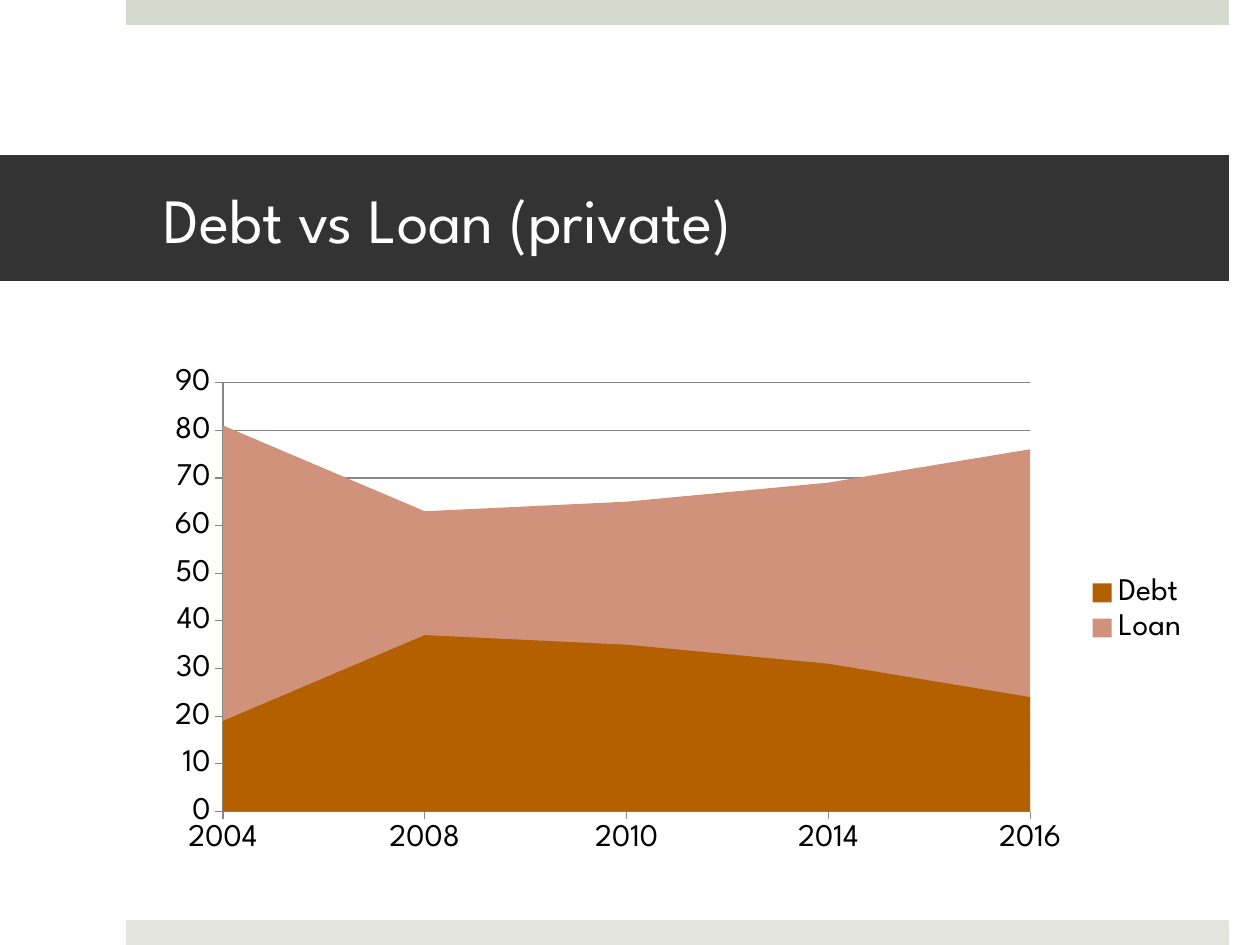
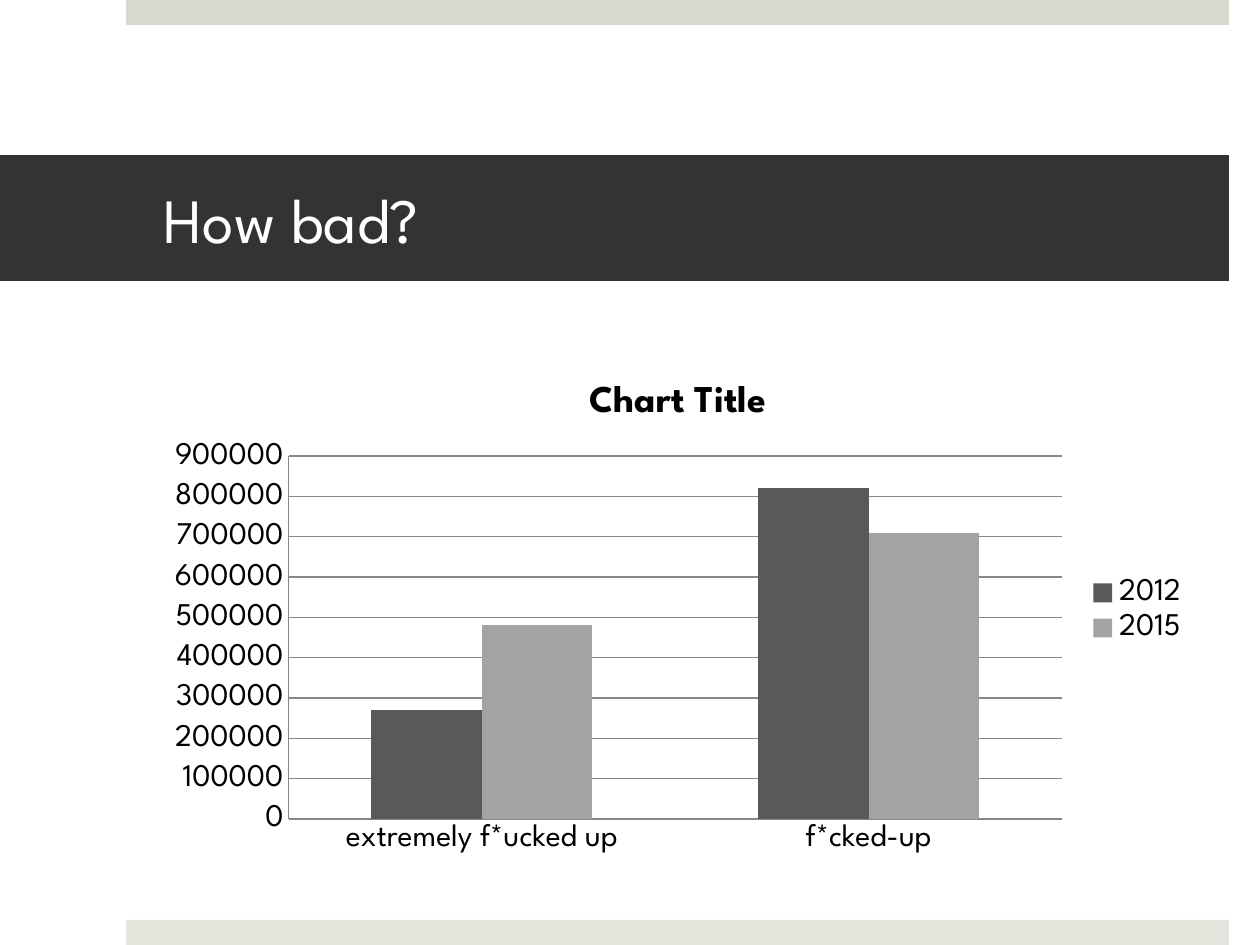
"""Builds two chart slides, on debt and loans, that share a dark title band."""
from pptx import Presentation
from pptx.chart.data import CategoryChartData
from pptx.dml.color import RGBColor
from pptx.enum.chart import XL_CHART_TYPE, XL_LEGEND_POSITION, XL_TICK_MARK
from pptx.enum.shapes import MSO_SHAPE
from pptx.enum.text import MSO_ANCHOR, MSO_AUTO_SIZE, PP_ALIGN
from pptx.util import Emu, Pt

FONT = "League Spartan"
WHITE, BLACK, TITLE_BAND, AXIS_GREY = "FFFFFF", "000000", "333333", "878787"
EDGE_BANDS = [(0, "D6D9CD"), (920, "E4E6DE")]


def px(length):
    return Emu(round(length * 914400 / 126))


def paint(target, color):
    target.solid()
    target.fore_color.rgb = RGBColor.from_string(color)


SLIDES = [
    {
        "title": "Debt vs Loan (private)",
        "type": XL_CHART_TYPE.AREA,
        "chart_title": None,
        "tick": XL_TICK_MARK.OUTSIDE,
        "categories": ["2004", "2008", "2010", "2014", "2016"],
        "series": [
            ("Debt", [19, 37, 35, 31, 24], "B45F00"),
            ("Loan", [81, 63, 65, 69, 76], "D0927A"),
        ],
    },
    {
        "title": "How bad?",
        "type": XL_CHART_TYPE.COLUMN_CLUSTERED,
        "chart_title": "Chart Title",
        "tick": XL_TICK_MARK.NONE,
        "categories": ["extremely f*ucked up", "f*cked-up"],
        "series": [
            ("2012", [270000, 820000], "595959"),
            ("2015", [480000, 710000], "A3A3A3"),
        ],
    },
]

presentation = Presentation()
presentation.slide_width, presentation.slide_height = px(1260), px(945)

for content in SLIDES:
    slide = presentation.slides.add_slide(presentation.slide_layouts[5])
    paint(slide.background.fill, WHITE)

    for top, color in EDGE_BANDS:
        band = slide.shapes.add_shape(MSO_SHAPE.RECTANGLE, px(126), px(top), px(1103), px(25))
        band.shadow.inherit = False
        paint(band.fill, color)
        band.line.fill.background()

    title = slide.shapes.title
    title.left, title.top, title.width, title.height = px(0), px(155), px(1229), px(126)
    paint(title.fill, TITLE_BAND)
    frame = title.text_frame
    frame.text = content["title"]
    frame.auto_size = MSO_AUTO_SIZE.NONE
    frame.word_wrap = True
    frame.vertical_anchor = MSO_ANCHOR.MIDDLE
    frame.margin_left, frame.margin_right = px(164), px(38)
    frame.margin_top = frame.margin_bottom = px(6)
    paragraph = frame.paragraphs[0]
    paragraph.alignment = PP_ALIGN.LEFT
    paragraph.font.name = FONT
    paragraph.font.size = Pt(36)
    paint(paragraph.font.fill, WHITE)

    chart_data = CategoryChartData()
    chart_data.categories = content["categories"]
    for name, values, color in content["series"]:
        chart_data.add_series(name, values)
    chart = slide.shapes.add_chart(
        content["type"], px(154), px(358), px(1048), px(505), chart_data
    ).chart
    chart.font.name = FONT
    chart.font.size = Pt(18)
    paint(chart.font.fill, BLACK)

    chart.has_title = content["chart_title"] is not None
    if chart.has_title:
        chart.chart_title.include_in_layout = False
        chart.chart_title.text_frame.text = content["chart_title"]
        heading = chart.chart_title.text_frame.paragraphs[0]
        heading.font.name = FONT
        heading.font.size = Pt(21.6)
        heading.font.bold = True
        paint(heading.font.fill, BLACK)

    chart.has_legend = True
    chart.legend.position = XL_LEGEND_POSITION.RIGHT
    chart.legend.include_in_layout = False

    chart.value_axis.has_major_gridlines = True
    gridlines = chart.value_axis.major_gridlines.format.line
    for line in (chart.category_axis.format.line, chart.value_axis.format.line, gridlines):
        paint(line.fill, AXIS_GREY)
        line.width = Pt(0.75)
    for axis in (chart.category_axis, chart.value_axis):
        axis.major_tick_mark = content["tick"]
        axis.minor_tick_mark = XL_TICK_MARK.NONE

    plot = chart.plots[0]
    plot.vary_by_categories = False
    if content["type"] == XL_CHART_TYPE.COLUMN_CLUSTERED:
        plot.gap_width = 150
        plot.overlap = 0
    for series, (name, values, color) in zip(plot.series, content["series"]):
        paint(series.format.fill, color)

presentation.save("out.pptx")
